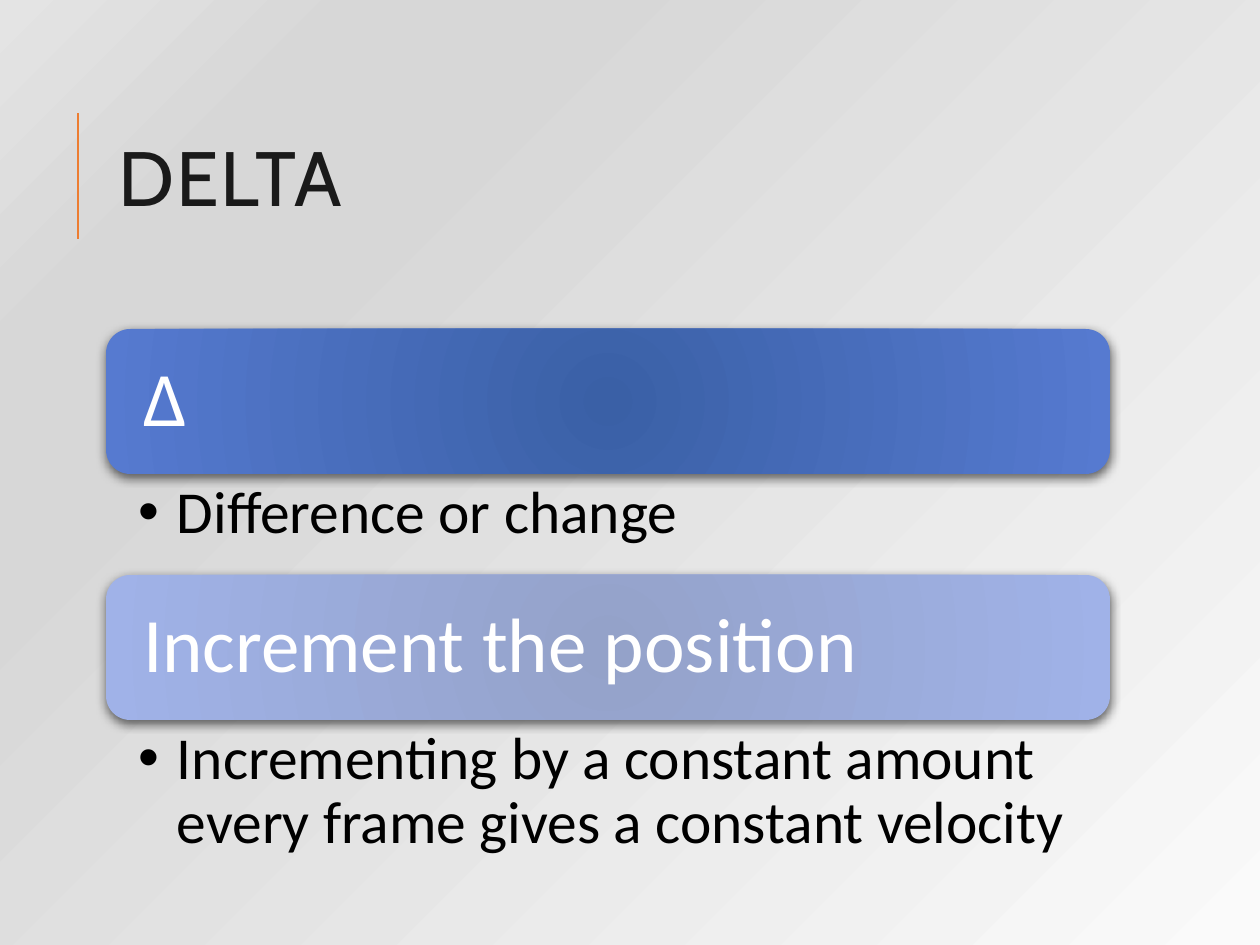
from dataclasses import dataclass

from lxml import etree
from pptx import Presentation
from pptx import util as u
from pptx.dml.color import RGBColor
from pptx.enum import shapes, text
from pptx.oxml import ns, parse_xml

EMU_PER_PX = 914400 / 126
TWO_CONTENT = 3


@dataclass(frozen=True)
class Theme:
    title_font: str = "Cabin"
    body_font: str = "Calibri"
    heading_size: int = 44
    bullet_size: int = 34
    title: str = "1A1A1A"
    bar_text: str = "FFFFFF"
    bullet: str = "000000"
    accent: str = "ED7D31"
    background: tuple = ((0, "FAFAFA"), (74, "D7D7D7"), (83, "D7D7D7"), (100, "E4E4E4"))
    dark_bar: tuple = ((0, "3A60A6"), (100, "567AD0"))
    light_bar: tuple = ((0, "94A2C9"), (100, "A0B2E8"))


def px(n):
    return u.Emu(round(n * EMU_PER_PX))


def gradient(stops, direction):
    gs = "".join(f'<a:gs pos="{pos * 1000}"><a:srgbClr val="{color}"/></a:gs>'
                 for pos, color in stops)
    return parse_xml(f'<a:gradFill {ns.nsdecls("a")} rotWithShape="1">'
                     f"<a:gsLst>{gs}</a:gsLst>{direction}</a:gradFill>")


def replace_solid(parent, fill):
    parent.replace(parent.find(ns.qn("a:solidFill")), fill)


class Deck:
    RADIAL = ('<a:path path="circle"><a:fillToRect l="100000" t="100000" '
              'r="100000" b="100000"/></a:path>')

    def __init__(self, theme):
        self.theme = theme
        self.prs = Presentation()
        self.prs.slide_width, self.prs.slide_height = px(1260), px(945)
        self.s = self.prs.slides.add_slide(self.prs.slide_layouts[TWO_CONTENT])

    def background(self):
        self.s.background.fill.solid()
        bg = self.s.element.find(".//" + ns.qn("p:bgPr"))
        replace_solid(bg, gradient(self.theme.background,
                                   '<a:lin ang="13500000" scaled="0"/>'))

    def place(self, sp, x, y, w, h):
        sp.left, sp.top, sp.width, sp.height = map(px, (x, y, w, h))

    def set_text(self, sp, words, font, size, color, spacing, anchor, insets=None):
        """Fill a shape with one left-aligned paragraph and return it."""
        tf = sp.text_frame
        tf.text = words
        tf.word_wrap = True
        tf.auto_size = text.MSO_AUTO_SIZE.NONE
        tf.vertical_anchor = anchor
        if insets:
            (tf.margin_left, tf.margin_top,
             tf.margin_right, tf.margin_bottom) = map(px, insets)
        p = tf.paragraphs[0]
        p.alignment = text.PP_ALIGN.LEFT
        p.line_spacing = spacing
        p.space_before = u.Pt(0)
        f = p.runs[0].font
        f.name, f.size = font, u.Pt(size)
        f.color.rgb = RGBColor.from_string(color)
        return p

    def title(self, words, *box):
        t, sp = self.theme, self.s.shapes.title
        self.place(sp, *box)
        p = self.set_text(sp, words, t.title_font, t.heading_size, t.title, 0.8,
                          text.MSO_ANCHOR.MIDDLE)
        p.runs[0]._r.get_or_add_rPr().set("spc", "100")

    def rule(self, x1, y1, x2, y2):
        line = self.s.shapes.add_connector(shapes.MSO_CONNECTOR.STRAIGHT,
                                           *map(px, (x1, y1, x2, y2)))
        line.line.color.rgb = RGBColor.from_string(self.theme.accent)
        line.line.width = u.Pt(1.5)
        etree.SubElement(line._element.spPr, ns.qn("a:effectLst"))

    def bar(self, words, stops, *box):
        t = self.theme
        sp = self.s.shapes.add_shape(shapes.MSO_SHAPE.ROUNDED_RECTANGLE,
                                     *map(px, box))
        sp.fill.solid()
        sp.line.fill.background()
        replace_solid(sp._element.spPr, gradient(stops, self.RADIAL))
        sp._element.spPr.append(parse_xml(
            f'<a:effectLst {ns.nsdecls("a")}>'
            f'<a:outerShdw blurRad="{u.Pt(6)}" dist="{u.Pt(2)}" dir="5400000" '
            'algn="ctr" rotWithShape="0"><a:srgbClr val="000000">'
            '<a:alpha val="60000"/></a:srgbClr></a:outerShdw></a:effectLst>'))
        self.set_text(sp, words, t.body_font, t.heading_size, t.bar_text, 0.9,
                      text.MSO_ANCHOR.MIDDLE, (30, 30, 30, 30))

    def bullet(self, index, words, *box):
        t, sp = self.theme, self.s.placeholders[index]
        self.place(sp, *box)
        p = self.set_text(sp, words, t.body_font, t.bullet_size, t.bullet, 0.9,
                          text.MSO_ANCHOR.TOP, (32, 8, 43, 8))
        pPr = p._p.get_or_add_pPr()
        pPr.set("marL", str(px(39)))
        pPr.set("indent", str(-px(39)))
        etree.SubElement(pPr, ns.qn("a:buChar")).set("char", "•")


def main():
    theme = Theme()
    deck = Deck(theme)
    deck.background()
    left, width, bar_height = 106, 1004, 145
    deck.rule(78, 239, 78, 113)
    deck.title("DELTA", left, 81, width, 207)
    sections = (
        ("Δ", theme.dark_bar, "Difference or change", 101),
        ("Increment the position", theme.light_bar,
         "Incrementing by a constant amount every frame gives a constant velocity", 135),
    )
    top = 329
    for index, (heading, stops, detail, height) in enumerate(sections, start=1):
        deck.bar(heading, stops, left, top, width, bar_height)
        deck.bullet(index, detail, left, top + bar_height, width, height)
        top += bar_height + height
    deck.prs.save("out.pptx")


if __name__ == "__main__":
    main()
